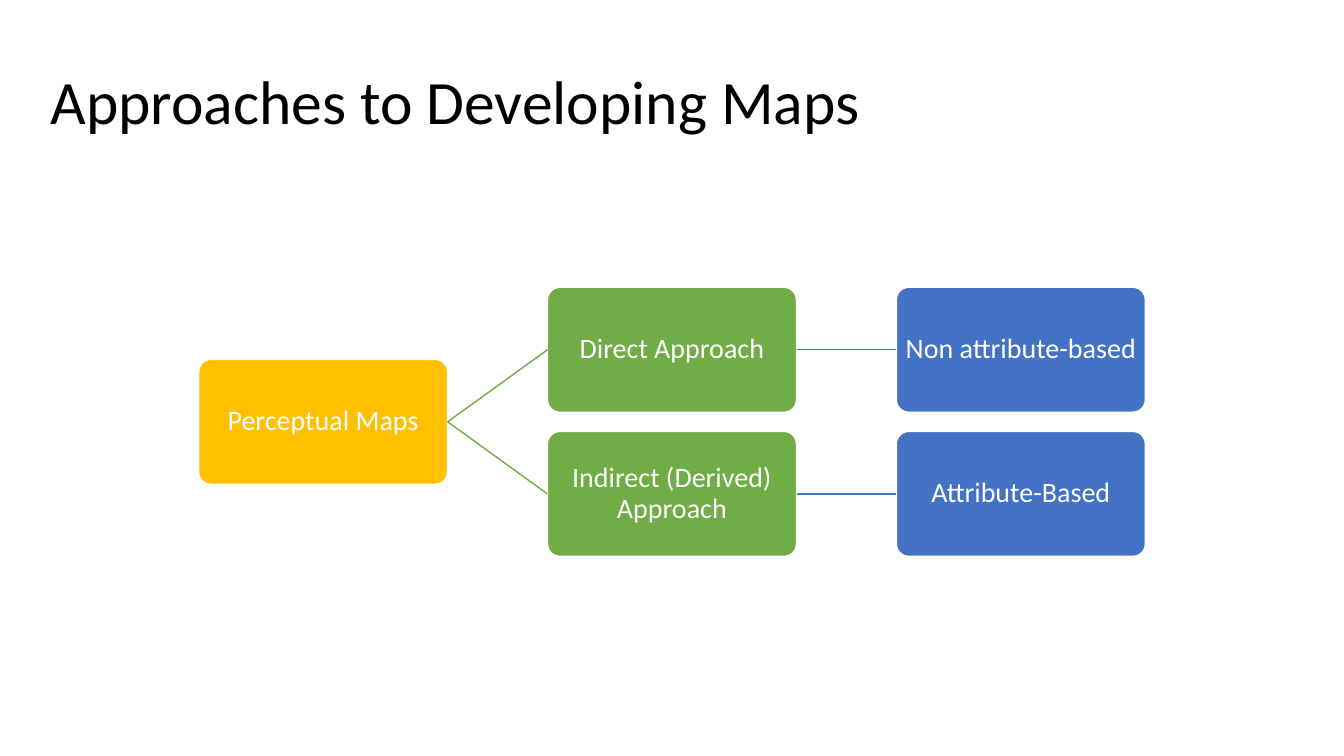
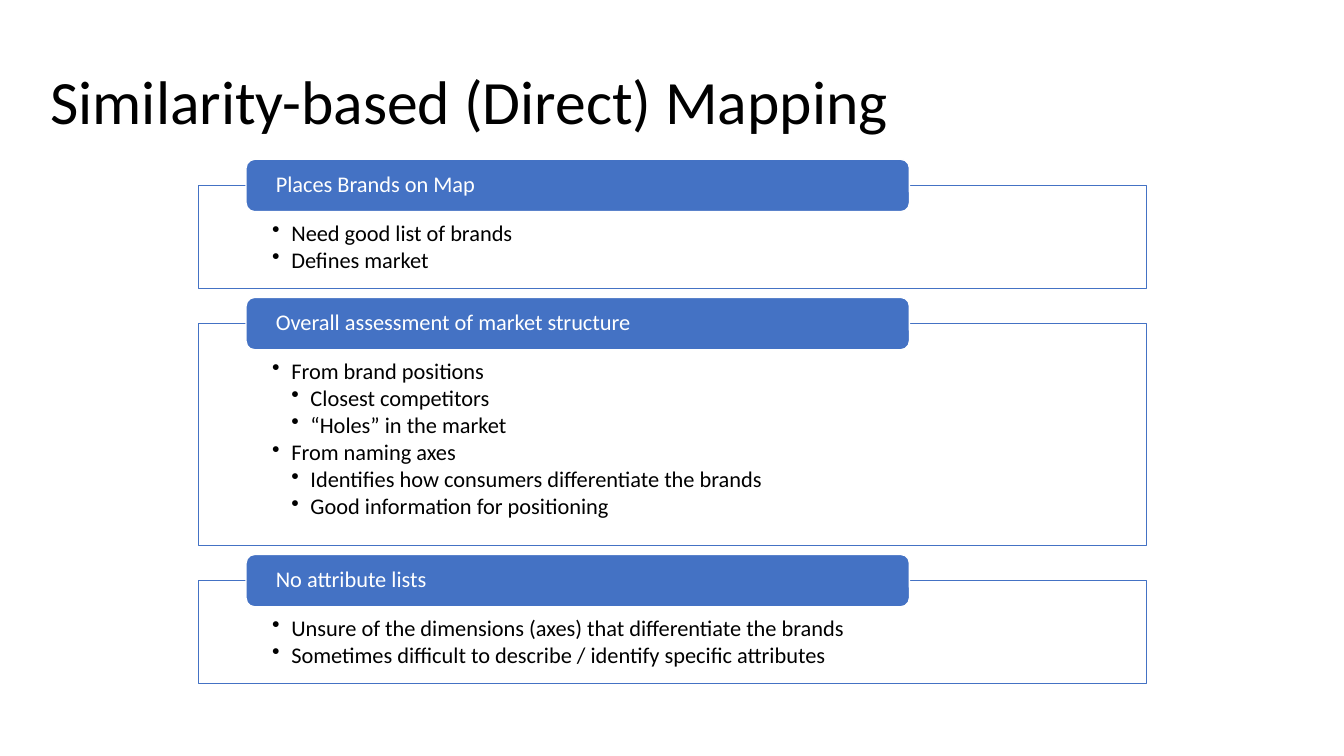
from dataclasses import dataclass

from lxml import etree
from pptx import Presentation
from pptx import util as u
from pptx.dml import color
from pptx.enum import shapes, text
from pptx.oxml import ns


@dataclass(frozen=True)
class Theme:
    font: str = "Calibri"
    black: str = "000000"
    white: str = "FFFFFF"
    gold: str = "FFC000"
    green: str = "70AD47"
    blue: str = "4472C4"
    title_size: int = 44
    node_size: int = 20
    list_size: int = 16
    line_width: int = 1
    line_spacing: float = 0.9
    bullet_gap: float = 2.1
    bullet_indent: float = 0.19
    panel_opacity: int = 90


def assign(target, values):
    for name, value in values.items():
        setattr(target, name, value)


def rgb(value):
    return color.RGBColor.from_string(value)


class Deck:
    def __init__(self, theme):
        self.theme = theme
        self.presentation = Presentation()
        assign(self.presentation, {"slide_width": u.Inches(13.33), "slide_height": u.Inches(7.5)})
        self.slide = None

    def add_slide(self, heading):
        self.slide = self.presentation.slides.add_slide(self.presentation.slide_layouts[5])
        title = self.slide.shapes.title
        self.place(title, 0.4, 0.25, 12.53, 1.17)
        assign(title.text_frame, {"auto_size": text.MSO_AUTO_SIZE.NONE, "word_wrap": True,
                                  "vertical_anchor": text.MSO_ANCHOR.BOTTOM})
        self.add_words(title.text_frame.paragraphs[0], heading, self.theme.title_size,
                       self.theme.black)

    def place(self, shape, left, top, width, height):
        assign(shape, {"left": u.Inches(left), "top": u.Inches(top),
                       "width": u.Inches(width), "height": u.Inches(height)})

    def add_words(self, paragraph, words, size, ink, align=text.PP_ALIGN.LEFT):
        assign(paragraph, {"alignment": align, "line_spacing": self.theme.line_spacing})
        run = paragraph.add_run()
        run.text = words
        assign(run.font, {"name": self.theme.font, "size": u.Pt(size)})
        run.font.color.rgb = rgb(ink)

    def stroke(self, line, ink):
        line.color.rgb = rgb(ink)
        line.width = u.Pt(self.theme.line_width)

    def box(self, kind, bounds, fill, outline, insets, anchor):
        shape = self.slide.shapes.add_shape(kind, *map(u.Inches, bounds))
        shape.shadow.inherit = False
        shape.fill.solid()
        shape.fill.fore_color.rgb = rgb(fill)
        self.stroke(shape.line, outline)
        sides = ("margin_left", "margin_top", "margin_right", "margin_bottom")
        assign(shape.text_frame, {side: u.Inches(inset) for side, inset in zip(sides, insets)})
        assign(shape.text_frame, {"word_wrap": True, "vertical_anchor": anchor})
        return shape

    def node(self, label, left, top, fill):
        node = self.box(shapes.MSO_SHAPE.ROUNDED_RECTANGLE, (left, top, 2.47, 1.24), fill,
                        self.theme.white, (0.05,) * 4, text.MSO_ANCHOR.MIDDLE)
        node.adjustments[0] = 0.1
        self.add_words(node.text_frame.paragraphs[0], label, self.theme.node_size,
                       self.theme.white, text.PP_ALIGN.CENTER)
        return node

    def branch(self, parent, child, ink):
        branch = self.slide.shapes.add_connector(shapes.MSO_CONNECTOR.STRAIGHT, 0, 0, 0, 0)
        branch.begin_connect(parent, 3)
        branch.end_connect(child, 1)
        self.stroke(branch.line, ink)
        etree.SubElement(branch._element.spPr, ns.qn("a:effectLst"))

    def bullet(self, paragraph, words, level):
        paragraph.level = level
        properties = paragraph._p.get_or_add_pPr()
        indent = u.Inches(self.theme.bullet_indent)
        properties.set("marL", str(indent * level))
        properties.set("indent", str(-indent))
        etree.SubElement(properties, ns.qn("a:buChar"), char="•")
        paragraph.space_after = u.Pt(self.theme.bullet_gap)
        self.add_words(paragraph, words, self.theme.list_size, self.theme.black)

    def panel(self, heading, points, top, height):
        panel = self.box(shapes.MSO_SHAPE.RECTANGLE, (1.97, top, 9.4, height), self.theme.white,
                         self.theme.blue, (0.73, 0.36, 0.73, 0.12), text.MSO_ANCHOR.TOP)
        fill = panel._element.spPr.find(ns.qn("a:solidFill"))
        etree.SubElement(fill[0], ns.qn("a:alpha"), val=str(self.theme.panel_opacity * 1000))
        frame = panel.text_frame
        for index, (level, words) in enumerate(points):
            paragraph = frame.add_paragraph() if index else frame.paragraphs[0]
            self.bullet(paragraph, words, level)
        header = self.box(shapes.MSO_SHAPE.ROUNDED_RECTANGLE, (2.44, top - 0.26, 6.58, 0.52),
                          self.theme.blue, self.theme.white, (0.27, 0, 0.27, 0),
                          text.MSO_ANCHOR.MIDDLE)
        self.add_words(header.text_frame.paragraphs[0], heading, self.theme.list_size,
                       self.theme.white)


def approaches(deck):
    deck.add_slide("Approaches to Developing Maps")
    theme = deck.theme
    first_column, column_step = 1.97, 3.46
    first_row, row_step = 2.85, 1.43
    root = deck.node("Perceptual Maps", first_column, first_row + row_step / 2, theme.gold)
    rows = [("Direct Approach", "Non attribute-based"),
            ("Indirect (Derived) Approach", "Attribute-Based")]
    for row, labels in enumerate(rows):
        parent = root
        for column, (label, fill) in enumerate(zip(labels, (theme.green, theme.blue)), 1):
            child = deck.node(label, first_column + column * column_step,
                              first_row + row * row_step, fill)
            deck.branch(parent, child, fill)
            parent = child


def direct_mapping(deck):
    deck.add_slide("Similarity-based (Direct) Mapping")
    panels = [
        ("Places Brands on Map", 1.02,
         [(1, "Need good list of brands"), (1, "Defines market")]),
        ("Overall assessment of market structure", 2.2,
         [(1, "From brand positions"), (2, "Closest competitors"),
          (2, "“Holes” in the market"), (1, "From naming axes"),
          (2, "Identifies how consumers differentiate the brands"),
          (2, "Good information for positioning")]),
        ("No attribute lists", 1.02,
         [(1, "Unsure of the dimensions (axes) that differentiate the brands"),
          (1, "Sometimes difficult to describe / identify specific attributes")]),
    ]
    top, gap = 1.84, 0.35
    for heading, height, points in panels:
        deck.panel(heading, points, top, height)
        top += height + gap


def main():
    deck = Deck(Theme())
    approaches(deck)
    direct_mapping(deck)
    deck.presentation.save("out.pptx")


if __name__ == "__main__":
    main()
